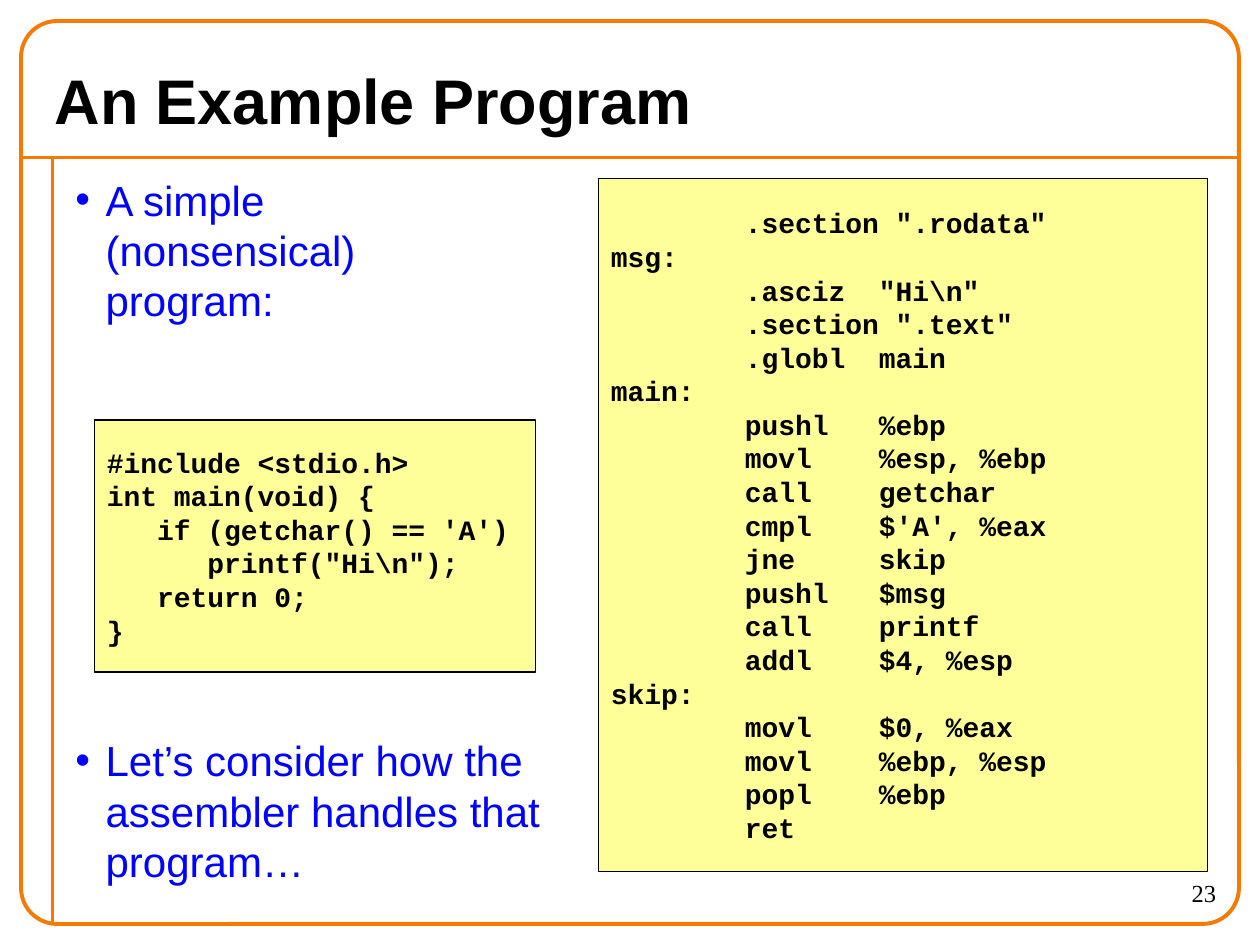
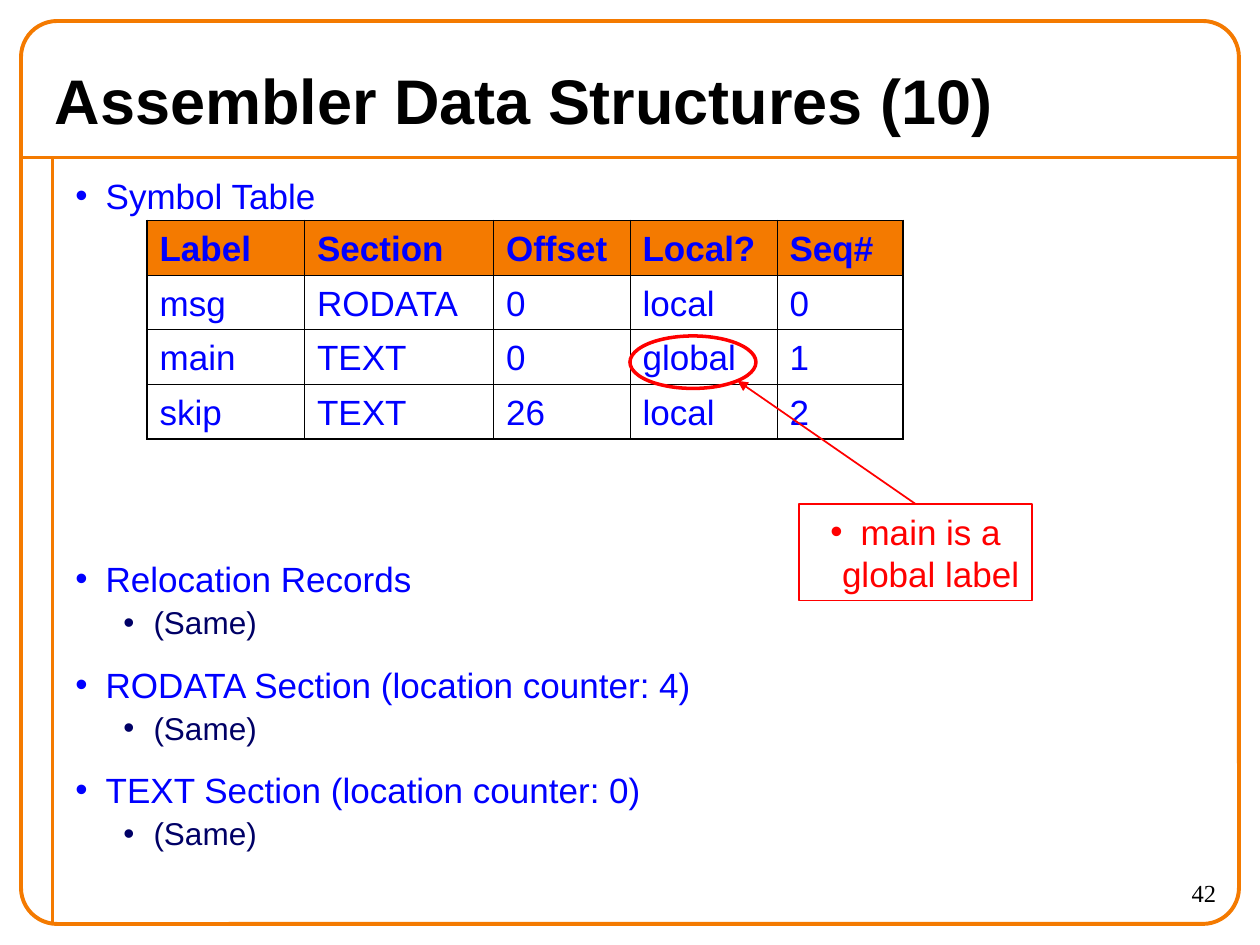
from math import sqrt

from lxml import etree
from pptx import Presentation
from pptx import util as u
from pptx.dml.color import RGBColor
from pptx.enum import shapes, text
from pptx.oxml import ns

COLORS = {"orange": "F47A00", "blue": "0000FF", "navy": "000066",
          "yellow": "FFFF99", "red": "FF0000", "black": "000000"}
CELL = u.Inches(10) // 120
LEADING = 1.2

C_CODE = r"""#include <stdio.h>
int main(void) {
   if (getchar() == 'A')
      printf("Hi\n");
   return 0;
}"""

ASSEMBLY = r"""        .section ".rodata"
msg:
        .asciz  "Hi\n"
        .section ".text"
        .globl  main
main:
        pushl   %ebp
        movl    %esp, %ebp
        call    getchar
        cmpl    $'A', %eax
        jne     skip
        pushl   $msg
        call    printf
        addl    $4, %esp
skip:
        movl    $0, %eax
        movl    %ebp, %esp
        popl    %ebp
        ret"""

SYMBOLS = [
    ["Label", "Section", "Offset", "Local?", "Seq#"],
    ["msg", "RODATA", "0", "local", "0"],
    ["main", "TEXT", "0", "global", "1"],
    ["skip", "TEXT", "26", "local", "2"],
]
SYMBOL_COLS = [15, 18, 13, 14, 12]
SYMBOL_ROW = 5.2


def grid(*cells):
    return [u.Emu(round(c * CELL)) for c in cells]


def rgb(name):
    return RGBColor.from_string(COLORS[name])


def sub(parent, tag, **attrs):
    return etree.SubElement(parent, ns.qn(tag), attrs)


def style(p, size, color="black", font="Arial", bold=False, before=0):
    p.alignment = p.alignment or text.PP_ALIGN.LEFT
    p.line_spacing = u.Pt(size * LEADING)
    p.space_before = u.Pt(before)
    f = p.font
    f.size, f.name, f.bold = u.Pt(size), font, bold
    f.color.rgb = rgb(color)


def bullet(p, color, left=0.24):
    pPr = p._p.get_or_add_pPr()
    pPr.set("marL", str(u.Inches(left)))
    pPr.set("indent", str(-u.Inches(0.24)))
    sub(sub(pPr, "a:buClr"), "a:srgbClr", val=COLORS[color])
    sub(pPr, "a:buFont", typeface="Arial")
    sub(pPr, "a:buChar", char="•")


def add_line(s, start, end, color, width):
    line = s.shapes.add_connector(shapes.MSO_CONNECTOR.STRAIGHT, *grid(*start, *end))
    line.line.color.rgb = rgb(color)
    line.line.width = u.Pt(width)
    sub(line._element.spPr, "a:effectLst")
    return line


def add_outline(s, kind, box, color, width, fill=None):
    sp = s.shapes.add_shape(kind, *grid(*box))
    sp.shadow.inherit = False
    sp.line.color.rgb = rgb(color)
    sp.line.width = u.Pt(width)
    if fill:
        sp.fill.solid()
        sp.fill.fore_color.rgb = rgb(fill)
    else:
        sp.fill.background()
    return sp


def framed_slide(prs, title, number):
    s = prs.slides.add_slide(prs.slide_layouts[5])
    add_line(s, (2, 15), (118, 15), "orange", 2.25)
    add_line(s, (5, 15), (5, 88), "orange", 2.25)
    frame = add_outline(s, shapes.MSO_SHAPE.ROUNDED_RECTANGLE, (2, 2, 116, 86), "orange", 2.25)
    frame.adjustments[0] = 0.04

    sp = s.shapes.title
    sp.left, sp.top, sp.width, sp.height = grid(4, 5, 112, 9)
    tf = sp.text_frame
    tf.text = title
    tf.auto_size = text.MSO_AUTO_SIZE.NONE
    tf.vertical_anchor = text.MSO_ANCHOR.MIDDLE
    style(tf.paragraphs[0], 36, bold=True)

    tf = s.shapes.add_textbox(*grid(105, 83, 12, 5)).text_frame
    tf.word_wrap = True
    p = tf.paragraphs[0]
    p.text = number
    p.alignment = text.PP_ALIGN.RIGHT
    style(p, 14, font="Times New Roman")
    return s


def bullet_list(s, box, size, items):
    tf = s.shapes.add_textbox(*grid(*box)).text_frame
    tf.word_wrap = True
    for i, (line, level, before) in enumerate(items):
        p = tf.add_paragraph() if i else tf.paragraphs[0]
        p.text = line
        p.level = level
        color = ("blue", "navy")[level]
        bullet(p, color, (0.24, 0.62)[level])
        style(p, size - 2 * level, color, before=before)


def code_panel(s, box, code):
    sp = add_outline(s, shapes.MSO_SHAPE.RECTANGLE, box, "black", 1, "yellow")
    tf = sp.text_frame
    tf.word_wrap = True
    tf.vertical_anchor = text.MSO_ANCHOR.MIDDLE
    tf.text = code
    for p in tf.paragraphs:
        style(p, 16, font="Courier New", bold=True)


def cell_borders(cell, **widths):
    tcPr = cell._tc.get_or_add_tcPr()
    for side, width in widths.items():
        ln = sub(tcPr, f"a:ln{side}", w=str(u.Pt(width)))
        sub(sub(ln, "a:solidFill"), "a:srgbClr", val=COLORS["black"])


def symbol_table(s, left, top):
    rows, cols = len(SYMBOLS), len(SYMBOL_COLS)
    box = (left, top, sum(SYMBOL_COLS), rows * SYMBOL_ROW)
    table = s.shapes.add_table(rows, cols, *grid(*box)).table
    table.first_row = table.horz_banding = False
    for column, width in zip(table.columns, grid(*SYMBOL_COLS)):
        column.width = width
    for r, values in enumerate(SYMBOLS):
        table.rows[r].height = grid(SYMBOL_ROW)[0]
        for c, value in enumerate(values):
            cell = table.cell(r, c)
            cell.text = value
            style(cell.text_frame.paragraphs[0], 20, "blue", bold=r == 0)
            edges = {"L": c == 0, "R": c == cols - 1, "T": r == 0, "B": r == rows - 1}
            cell_borders(cell, **{side: 1.08 if outer else 0.45 for side, outer in edges.items()})
            if r == 0:
                cell.fill.solid()
                cell.fill.fore_color.rgb = rgb("orange")
            else:
                cell.fill.background()


def callout(s, ring, box, note):
    add_outline(s, shapes.MSO_SHAPE.OVAL, ring, "red", 2)
    tf = add_outline(s, shapes.MSO_SHAPE.RECTANGLE, box, "red", 1).text_frame
    tf.word_wrap = False
    tf.vertical_anchor = text.MSO_ANCHOR.TOP
    p = tf.paragraphs[0]
    p.text = note
    bullet(p, "red")
    style(p, 20, "red")

    x, y, w, h = ring
    diagonal = (1 + sqrt(0.5)) / 2
    arrow = add_line(s, (box[0] + box[2] / 2, box[1]),
                     (x + w * diagonal, y + h * diagonal), "red", 1)
    sub(arrow.line._get_or_add_ln(), "a:tailEnd", type="triangle", w="med", len="med")


def example_slide(prs):
    s = framed_slide(prs, "An Example Program", "23")
    bullet_list(s, (6, 16, 50, 72), 24, [
        ("A simple\n(nonsensical)\nprogram:", 0, 0),
        ("Let’s consider how the\nassembler handles that\nprogram…", 0, 234),
    ])
    code_panel(s, (57, 17, 58, 66), ASSEMBLY)
    code_panel(s, (9, 40, 42, 24), C_CODE)


def structures_slide(prs):
    s = framed_slide(prs, "Assembler Data Structures (10)", "42")
    items = [("Symbol Table", 0, 0)]
    for heading, before in [("Relocation Records", 195),
                            ("RODATA Section (location counter: 4)", 12.5),
                            ("TEXT Section (location counter: 0)", 12.5)]:
        items += [(heading, 0, before), ("(Same)", 1, 2.2)]
    bullet_list(s, (6, 16, 110, 72), 20, items)
    symbol_table(s, 14, 21)
    callout(s, (60, 32, 12, 5), (76.1, 48, 22.2, 9.2), "main is a\nglobal label")


def main():
    prs = Presentation()
    prs.slide_width, prs.slide_height = grid(120, 90)
    example_slide(prs)
    structures_slide(prs)
    prs.save("out.pptx")


if __name__ == "__main__":
    main()
